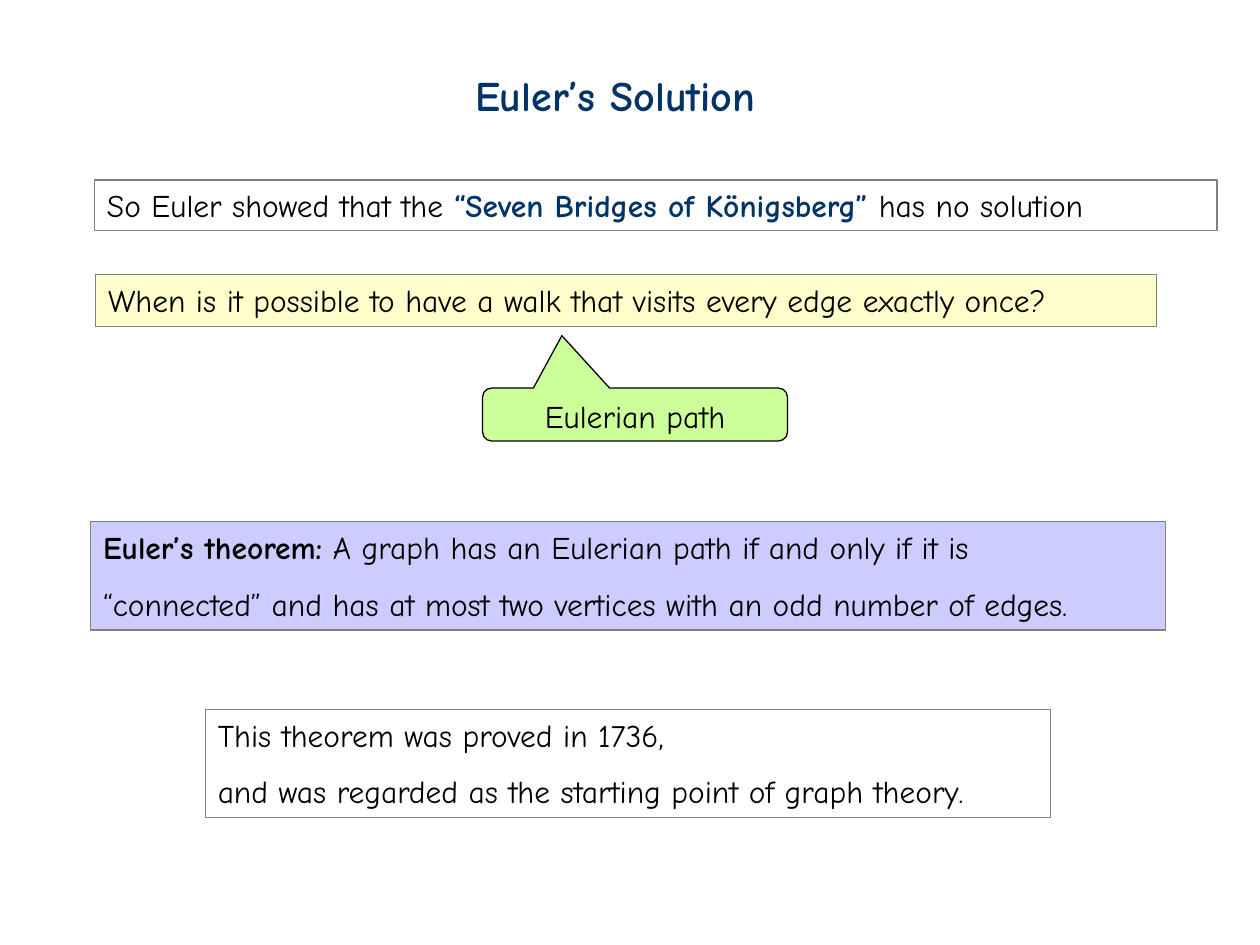
from pptx import Presentation
from pptx.dml.color import RGBColor
from pptx.enum.shapes import MSO_SHAPE
from pptx.enum.text import MSO_ANCHOR, MSO_AUTO_SIZE, PP_ALIGN
from pptx.util import Inches, Pt

FONT = "Comic Neue"
NAVY, BLACK, GRAY = "003366", "000000", "808080"


def color(code):
    return RGBColor.from_string(code)


def place(shape, box):
    shape.left, shape.top, shape.width, shape.height = map(Inches, box)


def write(shape, lines, size=18, align=PP_ALIGN.LEFT):
    """Each line is a list of runs: (text, bold, color)."""
    frame = shape.text_frame
    frame.word_wrap = True
    frame.auto_size = MSO_AUTO_SIZE.NONE
    frame.vertical_anchor = MSO_ANCHOR.TOP
    for i, runs in enumerate(lines):
        para = frame.add_paragraph() if i else frame.paragraphs[0]
        para.alignment = align
        para.line_spacing = 1.5 if i else 1.0
        for text, bold, code in runs:
            run = para.add_run()
            run.text = text
            run.font.name = FONT
            run.font.size = Pt(size)
            run.font.bold = bold
            run.font.color.rgb = color(code)


def panel(slide, box, lines, fill=None, line=GRAY, kind=MSO_SHAPE.RECTANGLE,
          align=PP_ALIGN.LEFT):
    shape = slide.shapes.add_shape(kind, *map(Inches, box))
    shape.shadow.inherit = False
    if fill:
        shape.fill.solid()
        shape.fill.fore_color.rgb = color(fill)
    else:
        shape.fill.background()
    shape.line.color.rgb = color(line)
    shape.line.width = Pt(0.75)
    write(shape, lines, align=align)
    return shape


def plain(text):
    return [(text, False, BLACK)]


def main():
    deck = Presentation()
    deck.slide_width, deck.slide_height = Inches(10), Inches(7.5)
    slide = deck.slides.add_slide(deck.slide_layouts[5])

    # Title
    title = slide.shapes.title
    place(title, (3.67, 0.5, 2.67, 0.5))
    write(title, [[("Euler’s Solution", True, NAVY)]], size=24)

    # Question and its name
    panel(slide, (0.76, 2.18, 8.42, 0.41),
          [plain("When is it possible to have a walk that visits every edge exactly once?")],
          fill="FFFFCC")
    callout = panel(slide, (3.83, 3.08, 2.42, 0.42), [plain("Eulerian path")],
                    fill="CCFF99", line=BLACK,
                    kind=MSO_SHAPE.ROUNDED_RECTANGULAR_CALLOUT,
                    align=PP_ALIGN.CENTER)
    for i, value in enumerate((-0.24, -1.49, 0.17)):
        callout.adjustments[i] = value

    # Theorem
    panel(slide, (0.72, 4.14, 8.53, 0.86),
          [[("Euler’s theorem:", True, BLACK),
            (" A graph has an Eulerian path if and only if it is", False, BLACK)],
           plain("“connected” and has at most two vertices with an odd number of edges.")],
          fill="CCCCFF")

    # History
    panel(slide, (1.63, 5.63, 6.71, 0.86),
          [plain("This theorem was proved in 1736,"),
           plain("and was regarded as the starting point of graph theory.")])

    # Result
    panel(slide, (0.75, 1.43, 8.91, 0.4),
          [[("So Euler showed that the ", False, BLACK),
            ("“Seven Bridges of Königsberg” ", True, NAVY),
            ("has no solution", False, BLACK)]])

    deck.save("out.pptx")


if __name__ == "__main__":
    main()
